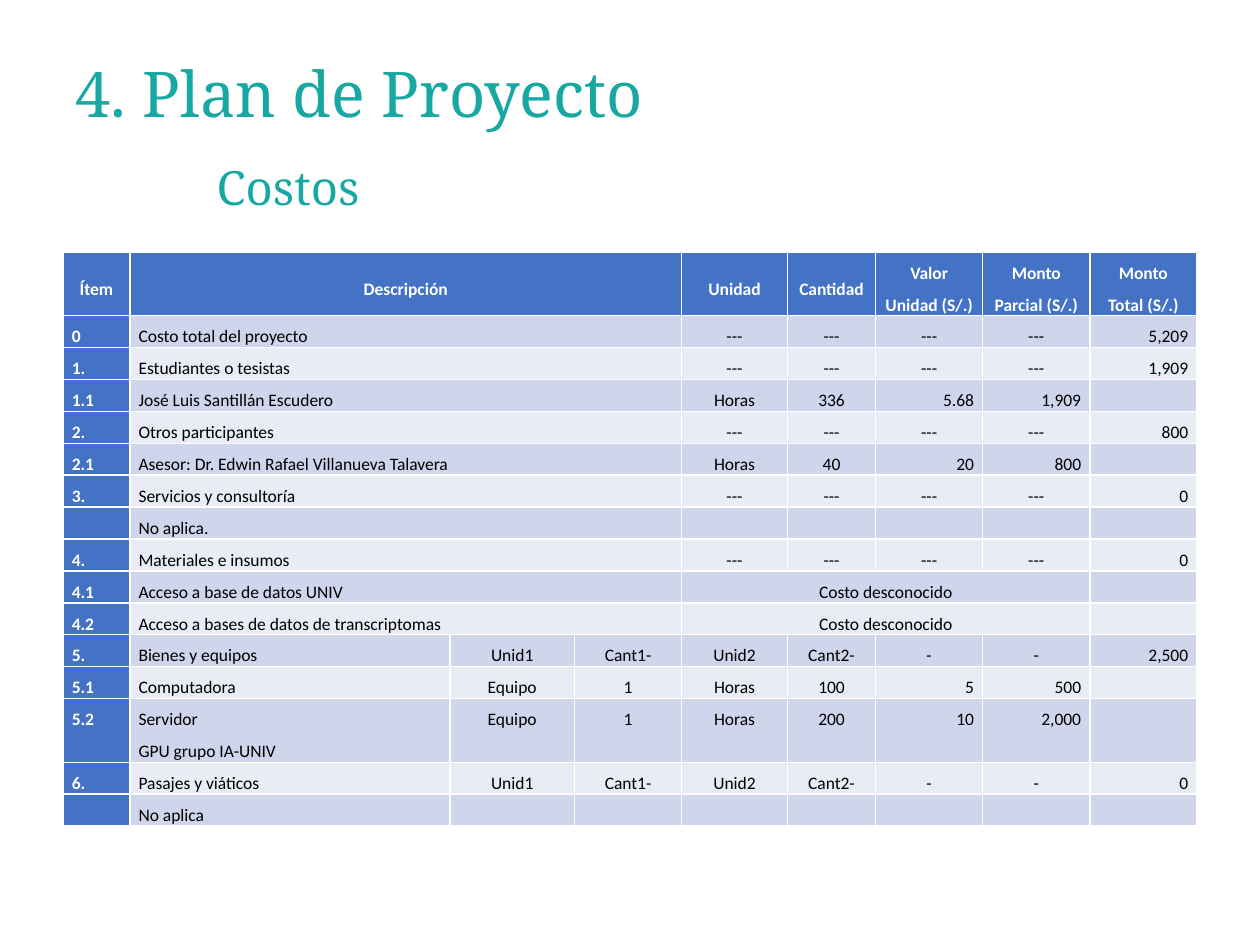
from pptx import Presentation
from pptx.dml.color import RGBColor
from pptx.enum.text import MSO_ANCHOR, MSO_AUTO_SIZE, PP_ALIGN
from pptx.util import Inches, Pt

TOP, MID = MSO_ANCHOR.TOP, MSO_ANCHOR.MIDDLE
LEFT, CENTER, RIGHT = PP_ALIGN.LEFT, PP_ALIGN.CENTER, PP_ALIGN.RIGHT
TEAL, BLUE, WHITE, BLACK = "18A8A4", "4472C4", "FFFFFF", "000000"
BANDS = ["E9EBF5", "CFD5EA"]


def color(code):
    return RGBColor.from_string(code)


def style(para, face, size, code, bold=False):
    for run in para.runs:
        font = run.font
        font.name, font.size, font.bold = face, Pt(size), bold
        font.color.rgb = color(code)


deck = Presentation()
deck.slide_width, deck.slide_height = Inches(10), Inches(7.5)
slide = deck.slides.add_slide(deck.slide_layouts[5])

# Headings
head = slide.shapes.add_textbox(Inches(0.5), Inches(0.13), Inches(9), Inches(1.25))
title = slide.shapes.title
title.left, title.top = Inches(1.62), Inches(1.03)
title.width, title.height = Inches(6.75), Inches(0.94)
for shape, text, size, line in [(head, "4. Plan de Proyecto", 36, 40),
                                (title, "Costos", 27, 30)]:
    frame = shape.text_frame
    frame.text = text
    frame.word_wrap = True
    frame.auto_size = MSO_AUTO_SIZE.NONE
    frame.vertical_anchor = MID
    para = frame.paragraphs[0]
    para.alignment = LEFT
    para.line_spacing = Pt(line)
    style(para, "Noto Serif", size, TEAL)

# Costs: item, description, then the remaining columns; None joins the cell to its left
dash = ["---"] * 4
wide = [None, None]
gap = [""] * 5
units = ["Unid1", "Cant1-", "Unid2", "Cant2-", "-", "-"]
ask = ["Costo desconocido", None, None, None, ""]
rows = [
    ["Ítem", "Descripción", *wide, "Unidad", "Cantidad", "Valor Unidad (S/.)",
     "Monto Parcial (S/.)", "Monto\nTotal (S/.)"],
    ["0", "Costo total del proyecto", *wide, *dash, "5,209"],
    ["1.", "Estudiantes o tesistas", *wide, *dash, "1,909"],
    ["1.1", "José Luis Santillán Escudero", *wide, "Horas", "336", "5.68", "1,909", ""],
    ["2.", "Otros participantes", *wide, *dash, "800"],
    ["2.1", "Asesor: Dr. Edwin Rafael Villanueva Talavera", *wide,
     "Horas", "40", "20", "800", ""],
    ["3.", "Servicios y consultoría", *wide, *dash, "0"],
    ["", "No aplica.", *wide, *gap],
    ["4.", "Materiales e insumos", *wide, *dash, "0"],
    ["4.1", "Acceso a base de datos UNIV", *wide, *ask],
    ["4.2", "Acceso a bases de datos de transcriptomas", *wide, *ask],
    ["5.", "Bienes y equipos", *units, "2,500"],
    ["5.1", "Computadora", "Equipo", "1", "Horas", "100", "5", "500", ""],
    ["5.2", "Servidor\nGPU grupo IA-UNIV", "Equipo", "1", "Horas", "200", "10", "2,000", ""],
    ["6.", "Pasajes y viáticos", *units, "0"],
    ["", "No aplica", "", "", *gap],
]
widths = [0.53, 2.54, 0.99, 0.85, 0.84, 0.7, 0.85, 0.85, 0.85]
step = 0.25

# Table: the default style gives the white rules
grid = slide.shapes.add_table(len(rows), len(widths), Inches(0.5), Inches(2),
                              Inches(9), Inches(step * len(rows))).table
grid.first_col = True
for col, width in zip(grid.columns, widths):
    col.width = Inches(width)
for r, row in enumerate(rows):
    grid.rows[r].height = Inches(step * (2 if "\n" in "".join(filter(None, row)) else 1))
    for c, text in enumerate(row):
        cell = grid.cell(r, c)
        key = r == 0 or c == 0
        cell.fill.solid()
        cell.fill.fore_color.rgb = color(BLUE if key else BANDS[r % 2])
        cell.margin_left = cell.margin_right = Inches(0.07)
        cell.margin_top = cell.margin_bottom = 0
        cell.vertical_anchor = MID if r == 0 else TOP
        cell.text_frame.text = text or ""
        for para in cell.text_frame.paragraphs:
            para.line_spacing = 1.5
            if r == 0 or 1 < c < 6 or "-" in para.text and c > 1:
                para.alignment = CENTER
            else:
                para.alignment = RIGHT if c > 5 else LEFT
            style(para, "Calibri", 10, WHITE if key else BLACK, key)
            if not text:
                para._p.get_or_add_endParaRPr().set("sz", "1000")

    # Join the cells marked None
    for c, text in enumerate(row):
        if text is not None:
            end = c
            while end + 1 < len(row) and row[end + 1] is None:
                end += 1
            if end > c:
                grid.cell(r, c).merge(grid.cell(r, end))

deck.save("out.pptx")
